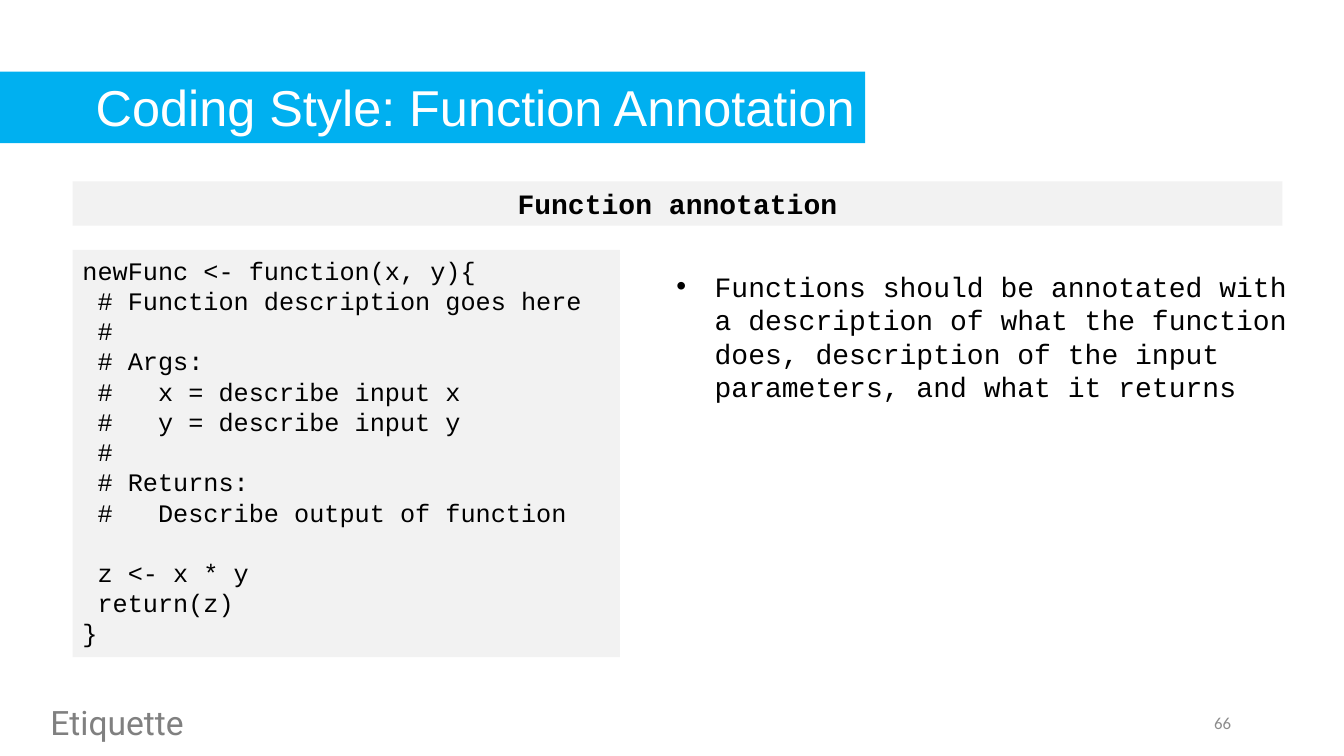
from lxml import etree
from pptx import Presentation
from pptx.dml.color import RGBColor
from pptx.enum.shapes import MSO_SHAPE as Shape
from pptx.enum.text import MSO_ANCHOR as Anchor, PP_ALIGN as Align
from pptx.oxml.ns import qn
from pptx.util import Inches, Pt

BLACK = RGBColor(0x00, 0x00, 0x00)
WHITE = RGBColor(0xFF, 0xFF, 0xFF)
BLUE = RGBColor(0x00, 0xB0, 0xF0)
PALE = RGBColor(0xF2, 0xF2, 0xF2)
GREY = RGBColor(0x80, 0x80, 0x80)
NUMBER_GREY = RGBColor(0x8C, 0x8C, 0x8C)

CODE = [
    "newFunc <- function(x, y){",
    " # Function description goes here",
    " #",
    " # Args:",
    " #   x = describe input x",
    " #   y = describe input y",
    " #",
    " # Returns:",
    " #   Describe output of function",
    "",
    " z <- x * y",
    " return(z)",
    "}",
]
ADVICE = ("Functions should be annotated with a description of what the function does, "
          "description of the input parameters, and what it returns")

LEFT = 0.72
BULLET_INDENT = 0.38

# lines, (left, top, width, height), font, size, colour, options
PARTS = [
    (["66"], (9.31, 6.97, 3, 0.4), "Calibri", 12, NUMBER_GREY,
     dict(align=Align.RIGHT, anchor=Anchor.MIDDLE)),
    (["Etiquette"], (0.4, 6.91, 9.79, 0.5), "Roboto", 24, GREY, {}),
    (["Function annotation"], (LEFT, 1.8, 12, 0.44), "Courier New", 20, BLACK,
     dict(fill=PALE, align=Align.CENTER, bold=True)),
    (["Coding Style: Function Annotation"], (-7.77, 0.71, 16.35, 0.71), "Arial", 36, WHITE,
     dict(fill=BLUE, align=Align.RIGHT)),
    (CODE, (LEFT, 2.48, 5.43, 4.04), "Courier New", 18, BLACK, dict(fill=PALE)),
    ([ADVICE], (6.61, 2.62, 6.27, 1.45), "Courier New", 20, BLACK, dict(bullet=True)),
]


def add_bullet(para):
    props = para._p.get_or_add_pPr()
    props.set("marL", str(Inches(BULLET_INDENT)))
    props.set("indent", str(-Inches(BULLET_INDENT)))
    etree.SubElement(props, qn("a:buFont")).set("typeface", "Arial")
    etree.SubElement(props, qn("a:buChar")).set("char", "•")


def add_part(slide, lines, place, font, size, colour, fill=None, align=Align.LEFT,
             anchor=Anchor.TOP, bold=False, bullet=False):
    """Add a text box, or a filled rectangle with text when a fill is given."""
    place = [Inches(length) for length in place]
    if fill is None:
        box = slide.shapes.add_textbox(*place)
    else:
        box = slide.shapes.add_shape(Shape.RECTANGLE, *place)
        box.shadow.inherit = False
        box.fill.solid()
        box.fill.fore_color.rgb = fill
        box.line.fill.background()
    frame = box.text_frame
    frame.word_wrap = True
    frame.vertical_anchor = anchor
    for index, line in enumerate(lines):
        para = frame.add_paragraph() if index else frame.paragraphs[0]
        para.alignment = align
        if bullet:
            add_bullet(para)
        span = para.add_run()
        span.text = line
        span.font.name = font
        span.font.size = Pt(size)
        span.font.bold = bold
        span.font.color.rgb = colour


def main():
    deck = Presentation()
    deck.slide_width, deck.slide_height = Inches(13.33), Inches(7.5)
    slide = deck.slides.add_slide(deck.slide_layouts[6])
    for *content, options in PARTS:
        add_part(slide, *content, **options)
    deck.save("out.pptx")


if __name__ == "__main__":
    main()
